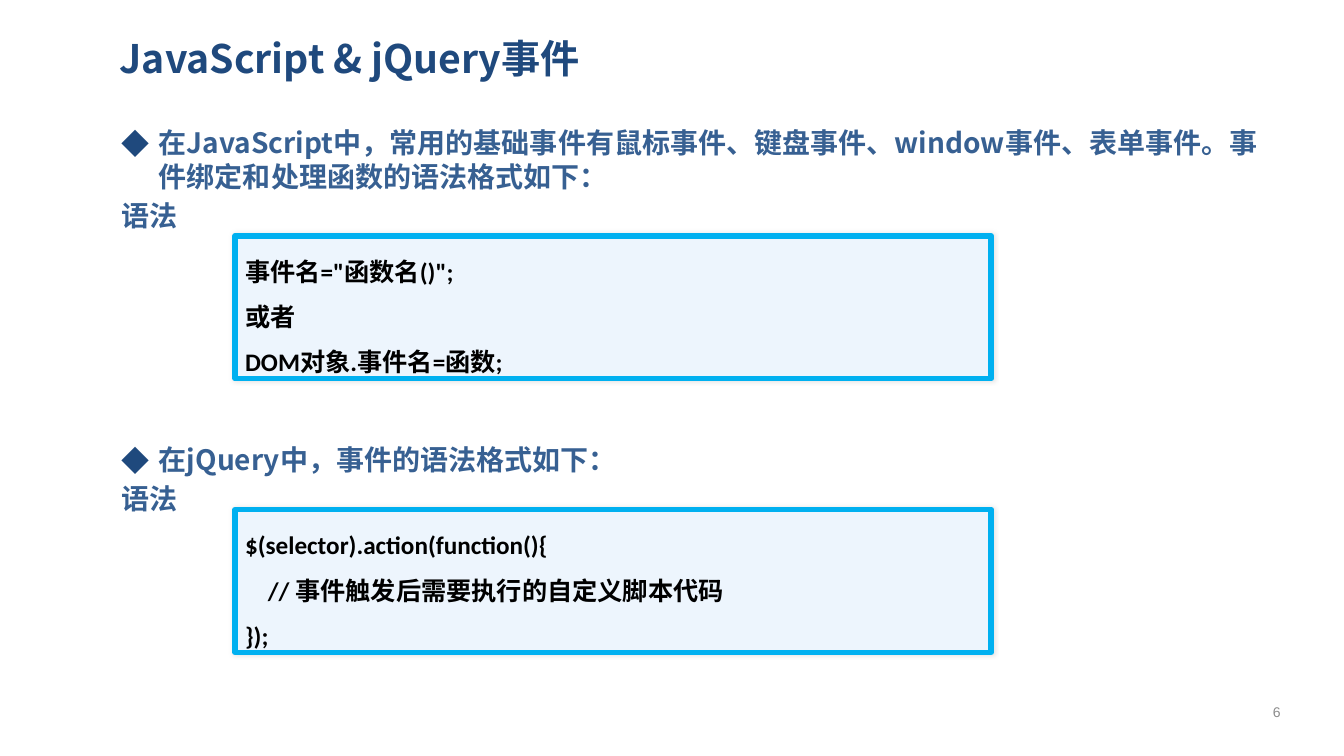
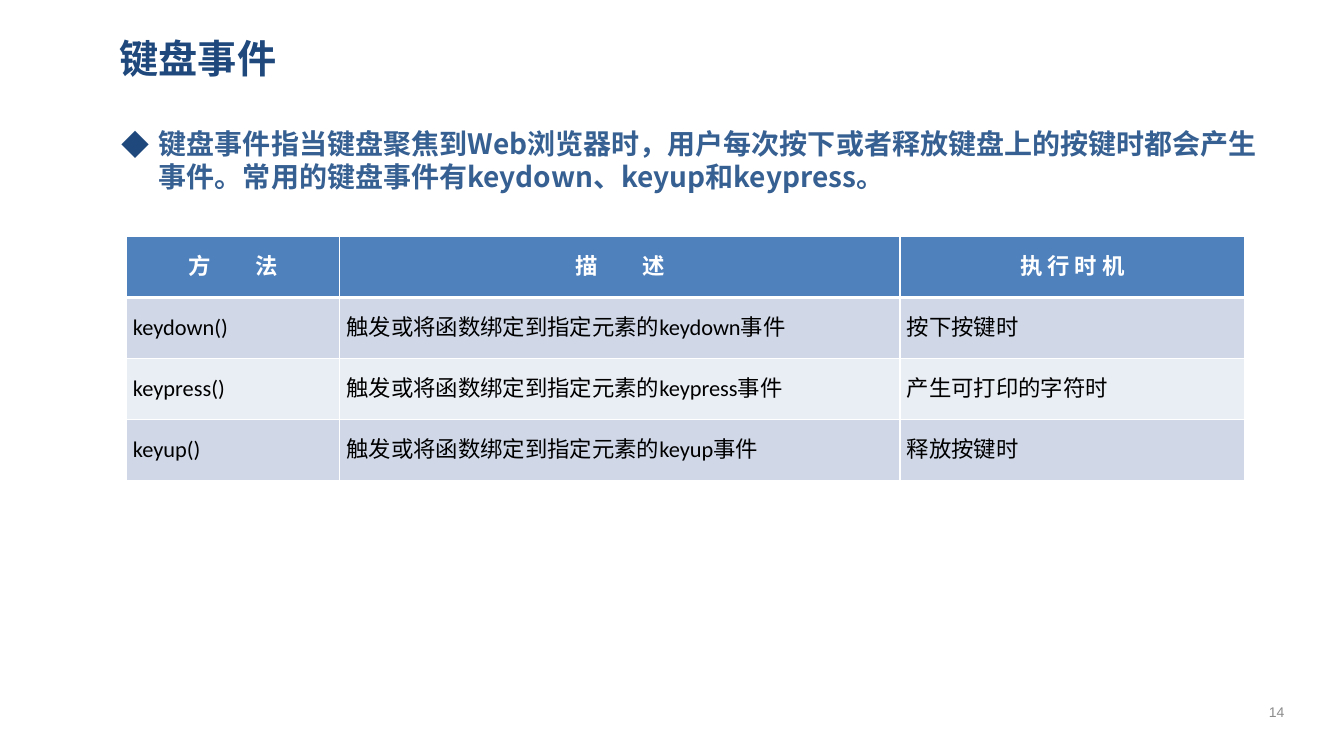
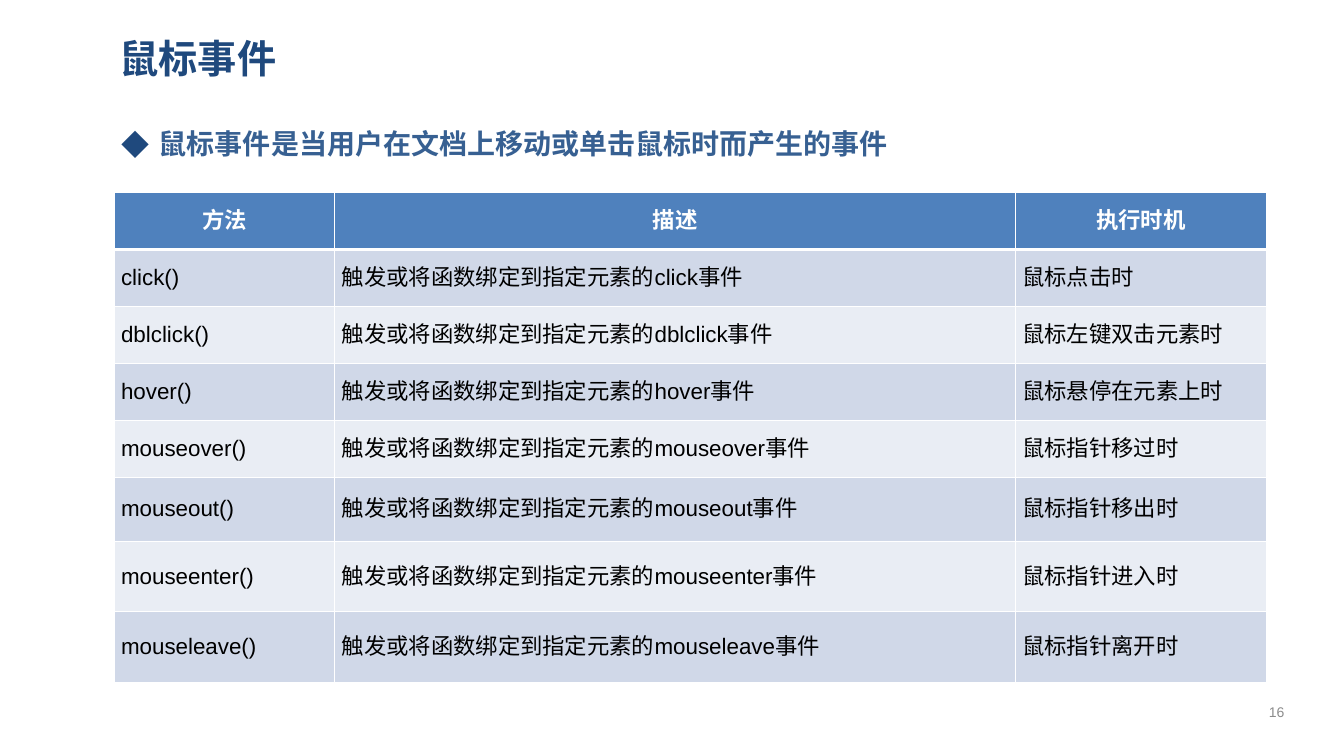
from dataclasses import dataclass
from lxml.etree import SubElement
from pptx import Presentation
from pptx.dml.color import RGBColor
from pptx.enum.shapes import MSO_SHAPE as Preset
from pptx.enum.text import MSO_ANCHOR as Anchor, PP_ALIGN as Align
from pptx.oxml.ns import qn
from pptx.util import Pt


@dataclass(frozen=True)
class Theme:
    title: str = "1F497D"
    body: str = "376092"
    ink: str = "000000"
    white: str = "FFFFFF"
    number: str = "8C8C8C"
    code_fill: str = "EDF5FD"
    code_line: str = "00B0F0"
    header: str = "4F81BD"
    bands: tuple = ("D0D8E8", "E9EDF4")
    heading_font: str = "Noto Sans CJK SC"
    text_font: str = "Calibri"
    plain_font: str = "Arial"
    title_size: int = 28
    body_size: int = 20
    code_size: int = 18
    table_size: int = 16
    number_size: int = 10


THEME = Theme()
TITLE_BOX = (79, 17.5, 839, 48)
NUMBER_BOX = (888.5, 494, 47, 29)
BODY_LEFT, BODY_TOP, BODY_WIDTH = 80, 87, 839
CODE_LEFT, CODE_WIDTH, CODE_HEIGHT = 168, 540, 102
INDENT = 27


def rgb(value):
    return RGBColor.from_string(value)


def child(parent, tag, **attributes):
    return SubElement(parent, qn(tag), attributes)


def add_span(para, text, *, font, size, color, bold=False, tracking=0):
    span = para.add_run()
    span.text = text
    span.font.name = font
    span.font.size = Pt(size)
    span.font.bold = bold
    span.font.color.rgb = rgb(color)
    properties = span.font._element
    child(properties, "a:ea", typeface=font)
    if tracking:
        properties.set("spc", str(tracking * 100))


def write(para, text, *, align=Align.LEFT, spacing=1, before=0, bullet=False, gap=0, **style):
    para.alignment = align
    para.line_spacing = spacing
    para.space_before = Pt(before)
    if bullet:
        properties = para._p.get_or_add_pPr()
        properties.set("marL", str(Pt(INDENT)))
        properties.set("indent", str(-Pt(INDENT)))
        child(child(properties, "a:buClr"), "a:srgbClr", val=THEME.title)
        child(properties, "a:buFont", typeface=THEME.heading_font)
        child(properties, "a:buChar", char="◆")
    if gap:
        add_span(para, text[:-1], tracking=gap, **style)
        text = text[-1]
    add_span(para, text, **style)


def set_frame(frame, *, anchor=Anchor.TOP, side=6.5, edge=3):
    frame.word_wrap = True
    frame.vertical_anchor = anchor
    frame.margin_left = frame.margin_right = Pt(side)
    frame.margin_top = frame.margin_bottom = Pt(edge)
    return frame


def next_para(frame, index):
    return frame.add_paragraph() if index else frame.paragraphs[0]


def add_page(deck, title, number):
    page = deck.slides.add_slide(deck.slide_layouts[5])
    box = page.shapes.title
    box.left, box.top, box.width, box.height = map(Pt, TITLE_BOX)
    frame = set_frame(box.text_frame, anchor=Anchor.MIDDLE)
    write(frame.paragraphs[0], title, font=THEME.heading_font,
          size=THEME.title_size, color=THEME.title, bold=True)
    box = page.shapes.add_textbox(*map(Pt, NUMBER_BOX))
    frame = set_frame(box.text_frame, anchor=Anchor.MIDDLE)
    write(frame.paragraphs[0], str(number), align=Align.CENTER,
          font=THEME.plain_font, size=THEME.number_size, color=THEME.number)
    return page


def add_body(page, top, height, intro, label=None):
    box = page.shapes.add_textbox(Pt(BODY_LEFT), Pt(top), Pt(BODY_WIDTH), Pt(height))
    frame = set_frame(box.text_frame)
    style = dict(font=THEME.heading_font, size=THEME.body_size, color=THEME.body, bold=True)
    write(frame.paragraphs[0], intro, bullet=True, **style)
    if label:
        write(frame.add_paragraph(), label, before=4, **style)


def add_code(page, top, lines):
    box = page.shapes.add_shape(Preset.ROUNDED_RECTANGLE, Pt(CODE_LEFT), Pt(top),
                                Pt(CODE_WIDTH), Pt(CODE_HEIGHT))
    box.adjustments[0] = 0
    box.fill.solid()
    box.fill.fore_color.rgb = rgb(THEME.code_fill)
    box.line.color.rgb = rgb(THEME.code_line)
    box.line.width = Pt(4)
    box.shadow.inherit = False
    effects = box._element.spPr.find(qn("a:effectLst"))
    shadow = child(effects, "a:outerShdw", blurRad=str(Pt(3)), dist="0", dir="0")
    child(child(shadow, "a:srgbClr", val=THEME.ink), "a:alpha", val="10000")
    frame = set_frame(box.text_frame, side=7.2, edge=3.6)
    for index, line in enumerate(lines):
        write(next_para(frame, index), line, spacing=1.5, font=THEME.text_font,
              size=THEME.code_size, color=THEME.ink, bold=True)


def set_borders(cell, top=1, bottom=1):
    properties = cell._tc.get_or_add_tcPr()
    for side, width in (("L", 1), ("R", 1), ("T", top), ("B", bottom)):
        line = child(properties, f"a:ln{side}", w=str(Pt(width)))
        child(child(line, "a:solidFill"), "a:srgbClr", val=THEME.white)


def add_event_table(page, left, top, widths, heights, header, events, *, font, gaps=(0, 0, 0)):
    rows = [header] + [
        (f"{name}()", f"触发或将函数绑定到指定元素的{name}事件", moment)
        for name, moment in events
    ]
    table = page.shapes.add_table(len(rows), len(widths), Pt(left), Pt(top),
                                  Pt(sum(widths)), Pt(sum(heights))).table
    for column, width in zip(table.columns, widths):
        column.width = Pt(width)
    for index, (values, height) in enumerate(zip(rows, heights)):
        table.rows[index].height = Pt(height)
        is_header = index == 0
        fill = THEME.header if is_header else THEME.bands[(index - 1) % 2]
        for column, text in enumerate(values):
            cell = table.cell(index, column)
            set_borders(cell, top=3 if index == 1 else 1, bottom=3 if is_header else 1)
            cell.fill.solid()
            cell.fill.fore_color.rgb = rgb(fill)
            cell.vertical_anchor = Anchor.MIDDLE
            cell.margin_left = cell.margin_right = Pt(5)
            cell.margin_top = cell.margin_bottom = 0
            write(cell.text_frame.paragraphs[0], text,
                  align=Align.CENTER if is_header else Align.JUSTIFY,
                  gap=gaps[column] if is_header else 0,
                  font=THEME.text_font if is_header else font,
                  size=THEME.table_size, bold=is_header,
                  color=THEME.white if is_header else THEME.ink)


def syntax_page(deck):
    page = add_page(deck, "JavaScript & jQuery事件", 6)
    sections = (
        (BODY_TOP, 100, 168.5,
         "在JavaScript中，常用的基础事件有鼠标事件、键盘事件、window事件、表单事件。事件绑定和处理函数的语法格式如下：",
         ("事件名=\"函数名()\";", "或者", "DOM对象.事件名=函数;")),
        (313, 70, 364,
         "在jQuery中，事件的语法格式如下：",
         ("$(selector).action(function(){", "    // 事件触发后需要执行的自定义脚本代码", "});")),
    )
    for top, height, code_top, intro, lines in sections:
        add_body(page, top, height, intro, label="语法")
        add_code(page, code_top, lines)


def keyboard_page(deck):
    page = add_page(deck, "键盘事件", 14)
    add_body(page, BODY_TOP, 70,
             "键盘事件指当键盘聚焦到Web浏览器时，用户每次按下或者释放键盘上的按键时都会产生事件。"
             "常用的键盘事件有keydown、keyup和keypress。")
    add_event_table(
        page, 90, 169, (152.6, 400.3, 246.2), [43.5] * 4,
        ("方法", "描述", "执 行 时 机"),
        (("keydown", "按下按键时"), ("keypress", "产生可打印的字符时"), ("keyup", "释放按键时")),
        font=THEME.text_font, gaps=(32, 32, 0))


def mouse_page(deck):
    page = add_page(deck, "鼠标事件", 16)
    add_body(page, BODY_TOP, 40, "鼠标事件是当用户在文档上移动或单击鼠标时而产生的事件")
    add_event_table(
        page, 81.5, 137.5, (157.7, 486, 179.3), [40.7] * 5 + [45.7, 50.4, 50.4],
        ("方法", "描述", "执行时机"),
        (("click", "鼠标点击时"), ("dblclick", "鼠标左键双击元素时"),
         ("hover", "鼠标悬停在元素上时"), ("mouseover", "鼠标指针移过时"),
         ("mouseout", "鼠标指针移出时"), ("mouseenter", "鼠标指针进入时"),
         ("mouseleave", "鼠标指针离开时")),
        font=THEME.plain_font)


def main():
    deck = Presentation()
    deck.slide_width, deck.slide_height = Pt(960), Pt(540)
    for build in (syntax_page, keyboard_page, mouse_page):
        build(deck)
    deck.save("out.pptx")


if __name__ == "__main__":
    main()
